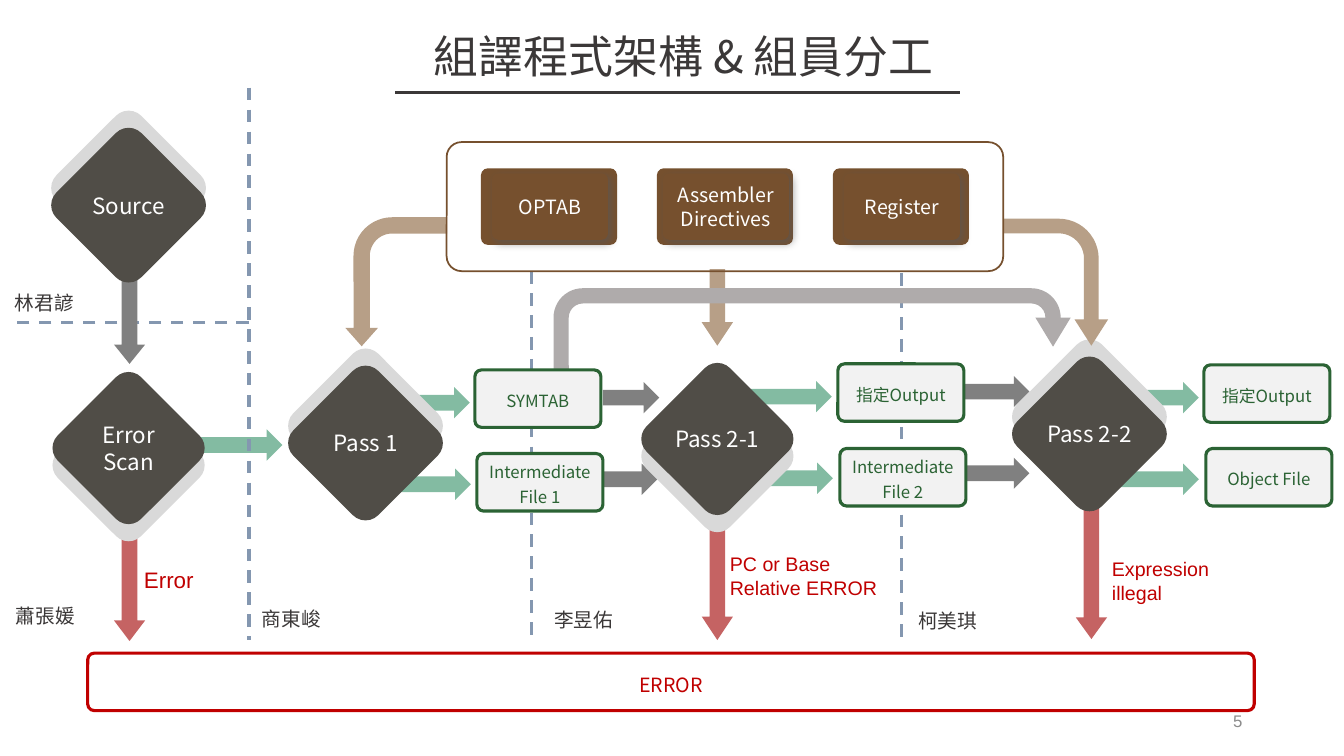
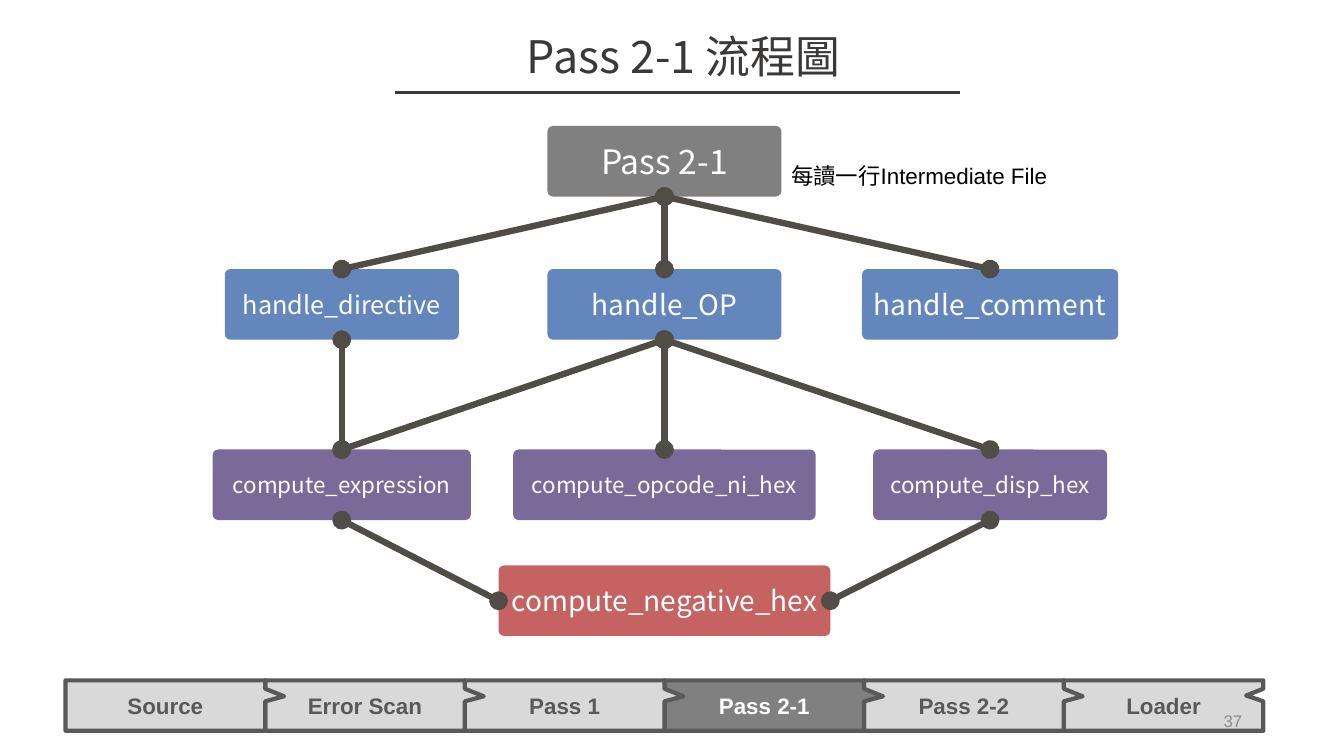
from dataclasses import dataclass
from typing import Any, NamedTuple, Optional, Sequence

from lxml import etree
from pptx import Presentation
from pptx.dml.color import RGBColor
from pptx.enum.dml import MSO_LINE
from pptx.enum.shapes import MSO_CONNECTOR, MSO_SHAPE
from pptx.enum.text import MSO_ANCHOR, PP_ALIGN
from pptx.oxml.ns import qn
from pptx.shapes.autoshape import Shape
from pptx.shapes.connector import Connector
from pptx.slide import Slide
from pptx.util import Inches, Pt

ROUND = MSO_SHAPE.ROUNDED_RECTANGLE
RIGHT, DOWN = MSO_SHAPE.RIGHT_ARROW, MSO_SHAPE.DOWN_ARROW
BENT, UTURN = MSO_SHAPE.BENT_ARROW, MSO_SHAPE.U_TURN_ARROW
CALLOUT = MSO_SHAPE.RECTANGULAR_CALLOUT
STRAIGHT = MSO_CONNECTOR.STRAIGHT
DASH = MSO_LINE.DASH
TOP, MIDDLE = MSO_ANCHOR.TOP, MSO_ANCHOR.MIDDLE
LEFT, CENTER, FLUSH = PP_ALIGN.LEFT, PP_ALIGN.CENTER, PP_ALIGN.RIGHT

SANS, CJK = "Arial", "Noto Sans CJK SC"

WHITE = RGBColor(0xFF, 0xFF, 0xFF)
BLACK = RGBColor(0x00, 0x00, 0x00)
INK = RGBColor(0x3B, 0x38, 0x38)
STONE = RGBColor(0x50, 0x4D, 0x47)
SLATE = RGBColor(0x59, 0x59, 0x59)
GRAY = RGBColor(0x80, 0x80, 0x80)
FAINT = RGBColor(0x8C, 0x8C, 0x8C)
SILVER = RGBColor(0xAF, 0xAB, 0xAB)
PALE = RGBColor(0xD9, 0xD9, 0xD9)
MIST = RGBColor(0xF2, 0xF2, 0xF2)
STEEL = RGBColor(0x84, 0x97, 0xB0)
BLUE = RGBColor(0x63, 0x87, 0xBD)
PURPLE = RGBColor(0x7A, 0x6A, 0x9A)
MINT = RGBColor(0x83, 0xBB, 0xA2)
GREEN = RGBColor(0x2B, 0x63, 0x34)
TAN = RGBColor(0xB7, 0x9F, 0x87)
BROWN = RGBColor(0x76, 0x50, 0x2E)
ROSE = RGBColor(0xC5, 0x63, 0x63)
RED = RGBColor(0xC0, 0x00, 0x00)


class Rect(NamedTuple):
    x: float
    y: float
    w: float
    h: float


@dataclass(frozen=True)
class Style:
    size: float
    color: RGBColor
    name: str = CJK
    bold: bool = False
    align: Any = CENTER
    anchor: Any = MIDDLE
    space: float = 1.0


@dataclass(frozen=True)
class Arrow:
    x: float
    y: float
    span: float
    color: RGBColor
    head: float = 0.5


@dataclass(frozen=True)
class Gem:
    text: str
    x: float
    y: float
    side: float
    drop: float


@dataclass(frozen=True)
class Node:
    text: str
    mid: float
    top: float
    width: float
    size: float
    color: RGBColor


TITLE = Style(32, INK, anchor=TOP)
PAGE = Style(12, FAINT, SANS, align=FLUSH)
GEM = Style(16, WHITE)
TILE = Style(12, GREEN, space=1.2)
ALARM = Style(14, RED, space=1.2)
TABLE = Style(14, WHITE)
PERSON = Style(14, INK, anchor=TOP)
FAULT = Style(14, RED, SANS, align=LEFT, anchor=TOP)
NOTE = Style(16, BLACK, SANS, align=LEFT, anchor=TOP)
STEP = Style(16, SLATE, SANS, bold=True)
ACTIVE = Style(16, WHITE, SANS, bold=True)

THICK = 0.31
RIGHTS = [
    Arrow(11.09, 3.79, 0.8, MINT), Arrow(11.07, 4.6, 0.82, MINT),
    Arrow(7.45, 3.78, 0.8, MINT), Arrow(7.44, 4.59, 0.82, MINT),
    Arrow(5.98, 3.79, 0.56, GRAY), Arrow(5.98, 4.6, 0.54, GRAY),
    Arrow(3.86, 3.84, 0.8, MINT), Arrow(3.85, 4.65, 0.82, MINT),
    Arrow(1.91, 4.26, 0.89, MINT),
]
DOWNS = [
    Arrow(10.67, 5.01, 1.33, ROSE, 0.69), Arrow(6.96, 5.01, 1.34, ROSE, 0.75),
    Arrow(1.13, 5.06, 1.3, ROSE, 0.66), Arrow(1.13, 2.67, 0.94, GRAY, 0.62),
]
LATE = [Arrow(9.57, 3.73, 0.64, GRAY), Arrow(9.57, 4.54, 0.64, GRAY)]
GEMS = [
    Gem("Source", 0.68, 1.44, 1.19, -0.17),
    Gem("Error Scan", 0.69, 3.86, 1.17, 0.17),
    Gem("Pass 1", 3.03, 3.8, 1.19, -0.17),
    Gem("Pass 2-1", 6.53, 3.77, 1.17, 0.17),
    Gem("Pass 2-2", 10.21, 3.71, 1.19, -0.17),
]
TILES = [
    ("SYMTAB", 4.71, 3.67), ("Intermediate File 1", 4.73, 4.5),
    ("指定Output", 8.31, 3.61), ("Intermediate File 2", 8.33, 4.45),
    ("指定Output", 11.94, 3.62), ("Object File", 11.96, 4.45),
]
TABLES = [("OPTAB", 1.15), ("Assembler\nDirectives", 1.25), ("Register", 1.15)]
PEOPLE = [
    ("林君諺", 0, 2.84), ("蕭張媛", 0.01, 5.94), ("商東峻", 2.45, 5.97),
    ("李昱佑", 5.35, 5.98), ("柯美琪", 8.96, 5.99),
]
COLS = (3.39, 6.59, 9.82)
ROWS = (1.25, 2.67, 4.46, 5.61)
NODES = {
    "root": Node("Pass 2-1", COLS[1], ROWS[0], 2.32, 24, GRAY),
    "direct": Node("handle_directive", COLS[0], ROWS[1], 2.32, 18, BLUE),
    "op": Node("handle_OP", COLS[1], ROWS[1], 2.32, 20, BLUE),
    "comment": Node("handle_comment", COLS[2], ROWS[1], 2.54, 20, BLUE),
    "express": Node("compute_expression", COLS[0], ROWS[2], 2.56, 16, PURPLE),
    "code": Node("compute_opcode_ni_hex", COLS[1], ROWS[2], 3, 16, PURPLE),
    "disp": Node("compute_disp_hex", COLS[2], ROWS[2], 2.32, 16, PURPLE),
    "hex": Node("compute_negative_hex", COLS[1], ROWS[3], 3.29, 20, ROSE),
}
LINKS = [
    ("direct", "express", 0), ("root", "direct", 0), ("root", "op", 0),
    ("root", "comment", 0), ("op", "express", 0), ("op", "code", 0),
    ("op", "disp", 0), ("express", "hex", 1), ("disp", "hex", 3),
]
STEPS = ["Source", "Error Scan", "Pass 1", "Pass 2-1", "Pass 2-2", "Loader"]


def apply(target: Any, values: dict[str, Any]) -> None:
    for key, value in values.items():
        setattr(target, key, value)


def write(shape: Shape, text: str, style: Style) -> None:
    frame = shape.text_frame
    apply(frame, {"word_wrap": True, "vertical_anchor": style.anchor})
    for index, words in enumerate(text.split("\n")):
        para = frame.add_paragraph() if index else frame.paragraphs[0]
        apply(para, {"alignment": style.align, "line_spacing": style.space})
        run = para.add_run()
        run.text = words
        run.font.color.rgb = style.color
        apply(run.font, {"size": Pt(style.size), "name": style.name,
                         "bold": style.bold})
        etree.SubElement(run.font._element, qn("a:ea"), typeface=CJK)


def label(slide: Slide, rect: Rect, text: str, style: Style) -> None:
    write(slide.shapes.add_textbox(*map(Inches, rect)), text, style)


def draw(slide: Slide, kind: Any, rect: Rect, fill: Optional[RGBColor] = None,
         line: Optional[RGBColor] = None, width: float = 2.25,
         adj: Sequence[float] = (), turn: float = 0) -> Shape:
    shape = slide.shapes.add_shape(kind, *map(Inches, rect))
    shape.shadow.inherit = False
    shape.rotation = turn
    for index, value in enumerate(adj):
        shape.adjustments[index] = value
    if fill is None:
        shape.fill.background()
    else:
        shape.fill.solid()
        shape.fill.fore_color.rgb = fill
    if line is None:
        shape.line.fill.background()
    else:
        shape.line.color.rgb = line
        shape.line.width = Pt(width)
    apply(shape.text_frame, {
        "margin_left": Inches(0.09), "margin_right": Inches(0.09),
        "margin_top": Inches(0.04), "margin_bottom": Inches(0.04)})
    return shape


def rule(slide: Slide, ends: Sequence[float], color: RGBColor, width: float,
         dash: Any = None) -> Connector:
    line = slide.shapes.add_connector(STRAIGHT, *map(Inches, ends))
    line.line.color.rgb = color
    apply(line.line, {"width": Pt(width), "dash_style": dash})
    etree.SubElement(line._element.spPr, qn("a:effectLst"))
    return line


def frame(slide: Slide, title: str, page: int) -> None:
    """Add the title, its underline and the page number."""
    label(slide, Rect(3.75, 0.24, 6.06, 0.64), title, TITLE)
    rule(slide, (3.92, 0.92, 9.52, 0.92), INK, 2)
    label(slide, Rect(9.42, 6.95, 3, 0.4), str(page), PAGE)


def point(slide: Slide, kind: Any, arrow: Arrow) -> None:
    """Draw a straight block arrow."""
    size = (arrow.span, THICK) if kind == RIGHT else (THICK, arrow.span)
    draw(slide, kind, Rect(arrow.x, arrow.y, *size), arrow.color,
         adj=(0.5, arrow.head))


def stack(slide: Slide, gem: Gem) -> None:
    """Draw a diamond over its pale twin, with level text."""
    for drop, fill in ((gem.drop, PALE), (0, STONE)):
        rect = Rect(gem.x, gem.y + drop, gem.side, gem.side)
        draw(slide, ROUND, rect, fill, adj=(0.15,), turn=45)
    label(slide, Rect(gem.x, gem.y, gem.side, gem.side), gem.text, GEM)


def shade(shape: Shape) -> None:
    """Give a shape a soft shadow."""
    effects = shape._element.spPr.find(qn("a:effectLst"))
    outer = etree.SubElement(effects, qn("a:outerShdw"), blurRad=str(Pt(6)),
                             dist=str(Pt(3)), dir="2700000")
    color = etree.SubElement(outer, qn("a:srgbClr"), val=str(SLATE))
    etree.SubElement(color, qn("a:alpha"), val="64000")


def plan(slide: Slide) -> None:
    """Build the slide of program parts and their owners."""
    for arrow in RIGHTS:
        point(slide, RIGHT, arrow)
    bend = draw(slide, BENT, Rect(3.29, 2.29, 1.28, 1.01), TAN,
                adj=(0.16, 0.16, 0.18, 0.38), turn=270)
    bend._element.spPr.xfrm.set("flipH", "1")
    for ends in ((2.47, 3.2, 0.13, 3.2), (2.47, 0.87, 2.47, 6.35),
                 (5.27, 2.69, 5.27, 6.34), (8.94, 2.71, 8.94, 6.36)):
        rule(slide, ends, STEEL, 2.25, DASH)
    for arrow in DOWNS:
        point(slide, DOWN, arrow)
    for gem in GEMS:
        stack(slide, gem)
    bar = draw(slide, ROUND, Rect(0.87, 6.48, 11.57, 0.57), line=RED,
               adj=(0.115,))
    write(bar, "ERROR", ALARM)
    draw(slide, BENT, Rect(9.84, 2.28, 1.26, 1.04), TAN,
         adj=(0.14, 0.16, 0.25, 0.38), turn=90)
    point(slide, DOWN, Arrow(6.96, 2.67, 0.76, TAN, 0.75))
    for arrow in LATE:
        point(slide, RIGHT, arrow)
    draw(slide, UTURN, Rect(5.49, 2.86, 5.13, 0.8), SILVER,
         adj=(0.189, 0.219, 0.361, 0.438, 0.725))
    for text, x, y in TILES:
        tile = draw(slide, ROUND, Rect(x, y, 1.25, 0.57), MIST, GREEN,
                    adj=(0.115,))
        write(tile, text, TILE)
    draw(slide, ROUND, Rect(4.43, 1.41, 5.52, 1.28), line=BROWN, width=1.25,
         adj=(0.115,))
    for index, (text, width) in enumerate(TABLES):
        x = 4.77 + 1.745 * index
        draw(slide, ROUND, Rect(x, 1.67, 1.35, 0.76), BROWN, adj=(0.09,))
        inner = Rect(x + 0.685 - width / 2, 1.72, width, 0.66)
        plate = draw(slide, ROUND, inner, BROWN, adj=(0.096,))
        shade(plate)
        write(plate, text, TABLE)
    label(slide, Rect(1.33, 5.57, 0.96, 0.37), "Error",
          Style(16, RED, SANS, align=LEFT, anchor=TOP))
    label(slide, Rect(7.14, 5.43, 1.85, 0.57), "PC or Base Relative ERROR",
          FAULT)
    label(slide, Rect(10.93, 5.48, 1.66, 0.57), "Expression\nillegal", FAULT)
    for text, x, y in PEOPLE:
        label(slide, Rect(x, y, 0.88, 0.34), text, PERSON)
    frame(slide, "組譯程式架構 & 組員分工", 5)


def flow(slide: Slide) -> None:
    """Build the call tree of one pass."""
    for index, text in reversed(list(enumerate(STEPS))):
        now = text == "Pass 2-1"
        tip = (0.414, -0.199) if text == STEPS[-1] else (0.595, -0.184)
        step = draw(slide, CALLOUT, Rect(0.65 + 1.98 * index, 6.75, 1.98, 0.5),
                    GRAY if now else PALE, SLATE, 3, tip)
        write(step, text, ACTIVE if now else STEP)
    cards = {}
    for key, node in NODES.items():
        rect = Rect(node.mid - node.width / 2, node.top, node.width, 0.7)
        cards[key] = draw(slide, ROUND, rect, node.color, adj=(0.078,))
        write(cards[key], node.text, Style(node.size, WHITE))
    for start, stop, side in LINKS:
        link = rule(slide, (0, 0, 1, 1), STONE, 4.5)
        link.begin_connect(cards[start], 2)
        link.end_connect(cards[stop], side)
        for end in ("a:headEnd", "a:tailEnd"):
            etree.SubElement(link.line._get_or_add_ln(), qn(end), type="oval")
    label(slide, Rect(7.75, 1.56, 2.77, 0.37), "每讀一行Intermediate File", NOTE)
    frame(slide, "Pass 2-1 流程圖", 37)


def main() -> None:
    deck = Presentation()
    apply(deck, {"slide_width": Inches(13.33), "slide_height": Inches(7.5)})
    for build in (plan, flow):
        build(deck.slides.add_slide(deck.slide_layouts[6]))
    deck.save("out.pptx")


if __name__ == "__main__":
    main()
